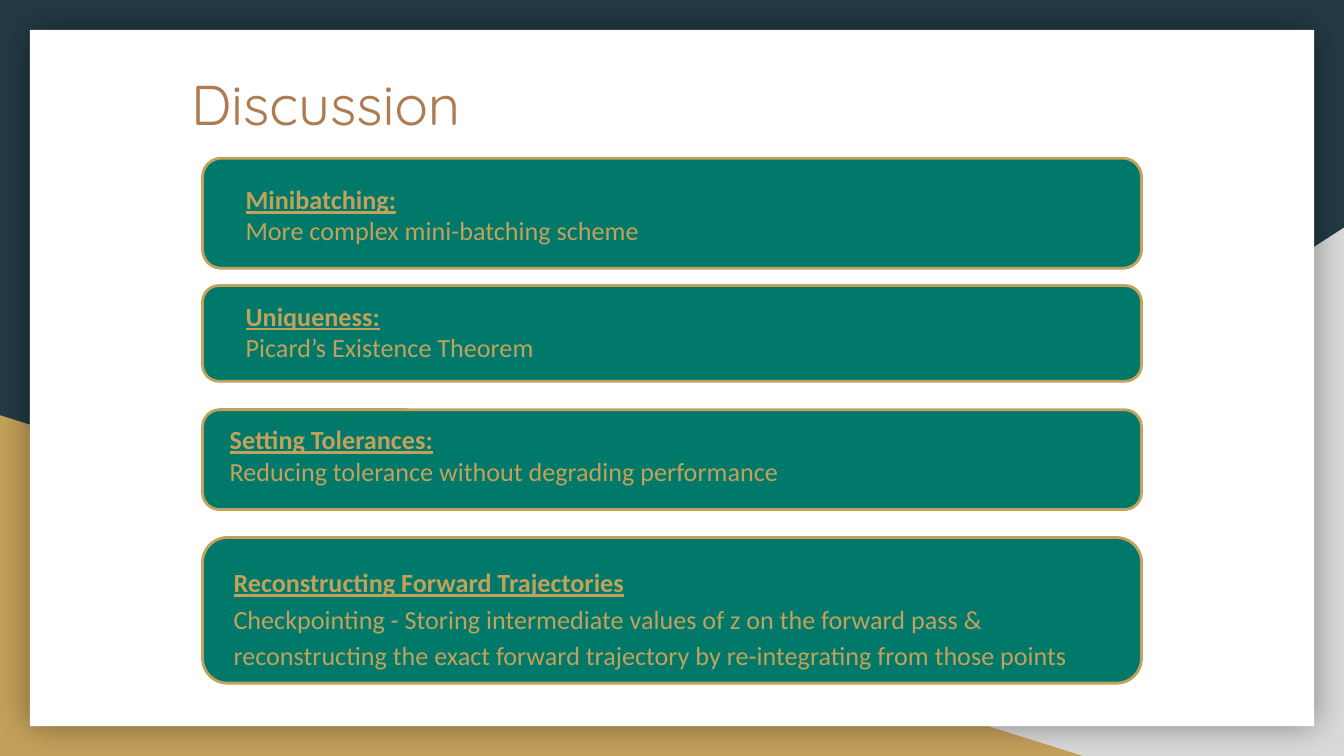
from lxml import etree
from pptx import Presentation
from pptx import util as u
from pptx.dml.color import RGBColor
from pptx.enum import shapes, text
from pptx.oxml import parse_xml

COLORS = {
    "night": "233A44",
    "gray": "D9D9D9",
    "gold": "C4A15A",
    "white": "FFFFFF",
    "copper": "AF7B51",
    "green": "00796B",
}
TITLE = "Discussion"
CARD_LEFT, CARD_WIDTH, TEXT_WIDTH = 108.5, 503, 477.5
CARDS = [
    {"heading": "Minibatching:", "body": "More complex mini-batching scheme",
     "card": (84.75, 59), "text": (124.5, 91, 45.5), "spacing": 1},
    {"heading": "Uniqueness:", "body": "Picard’s Existence Theorem",
     "card": (153, 51.25), "text": (124.5, 153.5, 49), "spacing": 1},
    {"heading": "Setting Tolerances:",
     "body": "Reducing tolerance without degrading performance",
     "card": (219.5, 53.5), "text": (116, 219.75, 45.5), "spacing": 1},
    {"heading": "Reconstructing Forward Trajectories",
     "body": "Checkpointing - Storing intermediate values of z on the forward pass & "
             "reconstructing the exact forward trajectory by re-integrating from those points",
     "card": (288, 78), "text": (118, 294, 72), "spacing": 1.15},
]
DRAWING = "http://schemas.openxmlformats.org/drawingml/2006/main"
GLOW = (
    f'<a:effectLst xmlns:a="{DRAWING}"><a:outerShdw blurRad="{u.Pt(18)}" dist="0" '
    'algn="ctr" rotWithShape="0"><a:srgbClr val="000000"><a:alpha val="40000"/>'
    '</a:srgbClr></a:outerShdw></a:effectLst>'
)


def color(name):
    return RGBColor.from_string(COLORS[name])


def add_shape(parent, kind, frame, fill, line=None):
    shape = parent.add_shape(kind, *map(u.Pt, frame))
    shape.shadow.inherit = False
    shape.fill.solid()
    shape.fill.fore_color.rgb = color(fill)
    if line:
        shape.line.color.rgb = color(line)
        shape.line.width = u.Pt(1.5)
    else:
        shape.line.fill.background()
    return shape


def add_text(parent, frame, lines, font, size, ink, spacing=1):
    box = parent.add_textbox(*map(u.Pt, frame))
    body = box.text_frame
    body.word_wrap = True
    body.vertical_anchor = text.MSO_ANCHOR.TOP
    body.margin_left = body.margin_right = u.Pt(7.2)
    body.margin_top = body.margin_bottom = u.Pt(7.2)
    for index, (wording, strong) in enumerate(lines):
        para = body.add_paragraph() if index else body.paragraphs[0]
        para.text = wording
        para.line_spacing = spacing
        para.font.name = font
        para.font.size = u.Pt(size)
        para.font.color.rgb = color(ink)
        para.font.bold = para.font.underline = strong


def add_backdrop(slide):
    slide.background.fill.solid()
    slide.background.fill.fore_color.rgb = color("night")
    triangle = shapes.MSO_SHAPE.RIGHT_TRIANGLE
    corner = add_shape(slide.shapes, triangle, (282, 122, 438, 283), "gray")
    corner.element.spPr.find(etree.QName(DRAWING, "xfrm")).set("flipH", "1")
    add_shape(slide.shapes, triangle, (0, 222.5, 580, 182.5), "gold")
    panel = add_shape(slide.shapes, shapes.MSO_SHAPE.RECTANGLE, (16, 16, 688, 373), "white")
    properties = panel.element.spPr
    properties.replace(properties.find(etree.QName(DRAWING, "effectLst")), parse_xml(GLOW))


def add_card(slide, item):
    group = slide.shapes.add_group_shape().shapes
    top, height = item["card"]
    card = add_shape(group, shapes.MSO_SHAPE.ROUNDED_RECTANGLE,
                     (CARD_LEFT, top, CARD_WIDTH, height), "green", "gold")
    card.adjustments[0] = 0.17
    left, text_top, text_height = item["text"]
    add_text(group, (left, text_top, TEXT_WIDTH, text_height),
             [(item["heading"], True), (item["body"], False)],
             "Calibri", 14, "gold", item["spacing"])


def main():
    deck = Presentation()
    deck.slide_width, deck.slide_height = u.Pt(720), u.Pt(405)
    slide = deck.slides.add_slide(deck.slide_layouts[6])
    add_backdrop(slide)
    add_text(slide.shapes, (95.25, 30.25, 591, 38), [(TITLE, False)], "Quicksand", 30, "copper")
    for item in CARDS:
        add_card(slide, item)
    deck.save("out.pptx")


if __name__ == "__main__":
    main()
